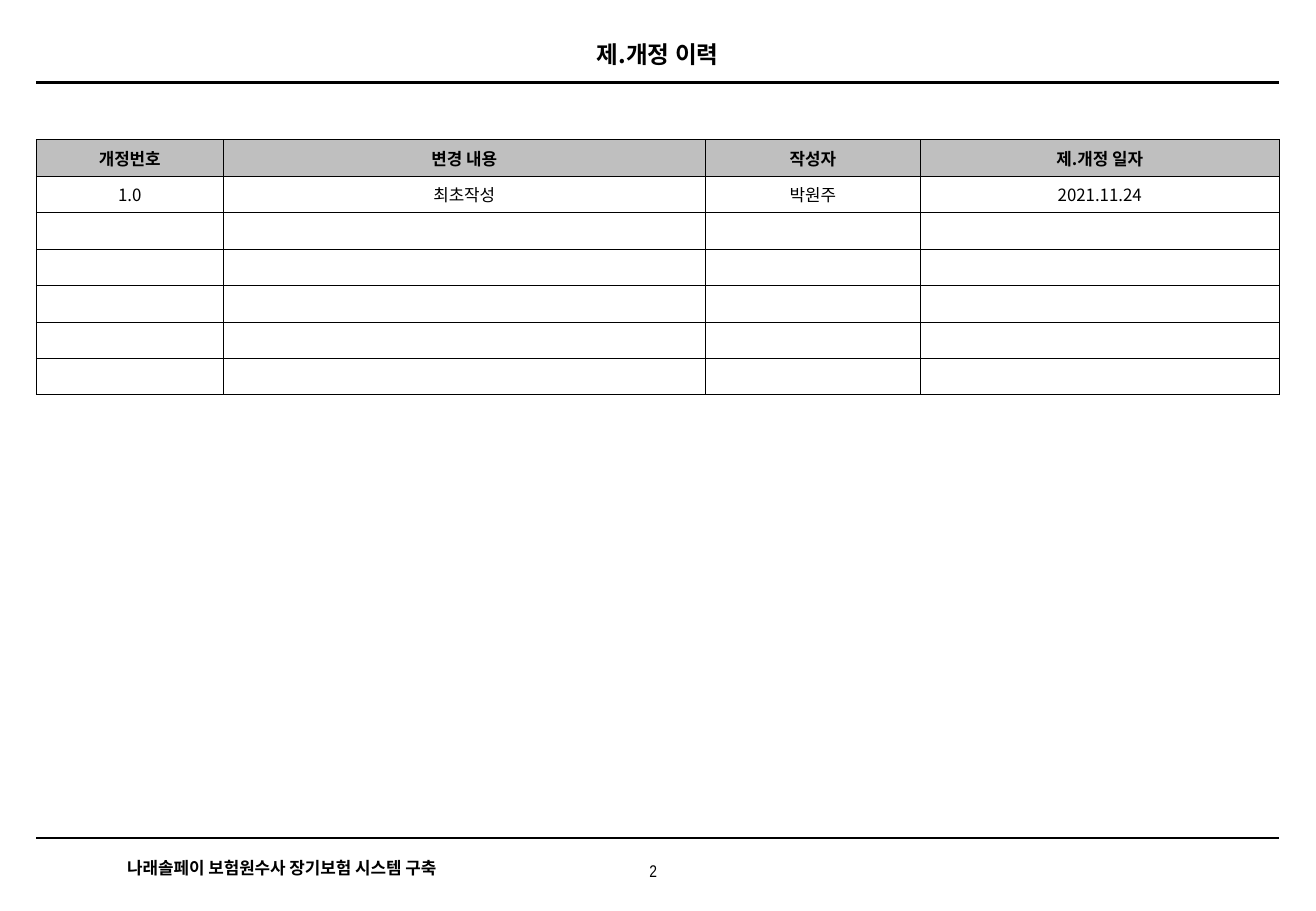
"""Build the revision history slide with its title, table and footer."""
from dataclasses import dataclass

from lxml import etree
from pptx import Presentation
from pptx.dml.color import RGBColor
from pptx.enum.shapes import MSO_CONNECTOR
from pptx.enum.text import MSO_ANCHOR, MSO_AUTO_SIZE, PP_ALIGN
from pptx.oxml.ns import qn
from pptx.slide import Slide
from pptx.table import _Cell
from pptx.text.text import _Paragraph
from pptx.util import Pt

LEFT, MID = PP_ALIGN.LEFT, PP_ALIGN.CENTER
CENTER = MSO_ANCHOR.MIDDLE
GROW = MSO_AUTO_SIZE.SHAPE_TO_FIT_TEXT
STRAIGHT = MSO_CONNECTOR.STRAIGHT

COLORS = {"ink": "000000", "head": "BFBFBF"}
SANS, NARROW = "Noto Sans CJK KR", "Arial Narrow"
EDGE, END = 21.5, 758.6
TOP, ROW = 82.8, 21.6
COLS = (110.9, 285.9, 127.6, 212.7)
ROWS = 7
DATA = (
    ("개정번호", "변경 내용", "작성자", "제.개정 일자"),
    ("1.0", "최초작성", "박원주", "2021.11.24"),
)


@dataclass(frozen=True)
class Label:
    text: str
    x: float
    y: float
    w: float
    h: float
    size: float = 10
    face: str = SANS
    bold: bool = True
    align: PP_ALIGN = MID
    wrap: bool = True


@dataclass(frozen=True)
class Rule:
    y: float
    weight: float


LABELS = (
    Label("2", 362.2, 506.9, 50.4, 19.4, face=NARROW, bold=False),
    Label("나래솔페이 보험원수사 장기보험 시스템 구축",
          68.4, 504.7, 199.4, 19.4, align=LEFT, wrap=False),
    Label("제.개정 이력", EDGE, 20.2, 737.1, 24.5, size=14),
)
RULES = (Rule(49, 2), Rule(496.8, 0.75))


def ink(name: str) -> RGBColor:
    return RGBColor.from_string(COLORS[name])


def write(para: _Paragraph, text: str, size: float, face: str, bold: bool) -> None:
    run = para.add_run()
    run.text = text
    for key, val in {"size": Pt(size), "name": face, "bold": bold}.items():
        setattr(run.font, key, val)
    run.font.color.rgb = ink("ink")
    etree.SubElement(run._r.get_or_add_rPr(), qn("a:ea"), typeface=face)


def draw_label(slide: Slide, label: Label) -> None:
    box = slide.shapes.add_textbox(*map(Pt, (label.x, label.y, label.w, label.h)))
    frame = box.text_frame
    for key, val in {"word_wrap": label.wrap, "auto_size": GROW}.items():
        setattr(frame, key, val)
    para = frame.paragraphs[0]
    para.alignment = label.align
    write(para, label.text, label.size, label.face, label.bold)


def draw_rule(slide: Slide, rule: Rule) -> None:
    line = slide.shapes.add_connector(
        STRAIGHT, Pt(EDGE), Pt(rule.y), Pt(END), Pt(rule.y))
    line.line.color.rgb = ink("ink")
    line.line.width = Pt(rule.weight)
    etree.SubElement(line._element.spPr, qn("a:effectLst"))


def add_frame(cell: _Cell) -> None:
    props = cell._tc.get_or_add_tcPr()
    for spot, side in enumerate(("lnL", "lnR", "lnT", "lnB")):
        edge = etree.Element(qn(f"a:{side}"), w=str(Pt(0.45)))
        fill = etree.SubElement(edge, qn("a:solidFill"))
        etree.SubElement(fill, qn("a:srgbClr"), val=COLORS["ink"])
        props.insert(spot, edge)


def fill_cell(cell: _Cell, text: str, head: bool) -> None:
    style = {"vertical_anchor": CENTER, "margin_top": Pt(3), "margin_bottom": Pt(3)}
    for key, val in style.items():
        setattr(cell, key, val)
    if head:
        cell.fill.solid()
        cell.fill.fore_color.rgb = ink("head")
    else:
        cell.fill.background()
    add_frame(cell)
    para = cell.text_frame.paragraphs[0]
    para.alignment = MID
    if text:
        if not head:
            para.line_spacing = Pt(14)
        write(para, text, 10, SANS, head)
    else:
        etree.SubElement(para._p, qn("a:endParaRPr"), sz="1000")


def draw_table(slide: Slide) -> None:
    table = slide.shapes.add_table(
        ROWS, len(COLS), Pt(EDGE), Pt(TOP), Pt(sum(COLS)), Pt(ROWS * ROW)).table
    table.horz_banding = False
    for col, width in zip(table.columns, COLS):
        col.width = Pt(width)
    for num, row in enumerate(table.rows):
        row.height = Pt(ROW)
        words = DATA[num] if num < len(DATA) else ("",) * len(COLS)
        for cell, text in zip(row.cells, words):
            fill_cell(cell, text, num == 0)


def main() -> None:
    deck = Presentation()
    deck.slide_width, deck.slide_height = Pt(780.48), Pt(540)
    slide = deck.slides.add_slide(deck.slide_layouts[6])
    for rule in RULES:
        draw_rule(slide, rule)
    for label in LABELS:
        draw_label(slide, label)
    draw_table(slide)
    deck.save("out.pptx")


if __name__ == "__main__":
    main()
